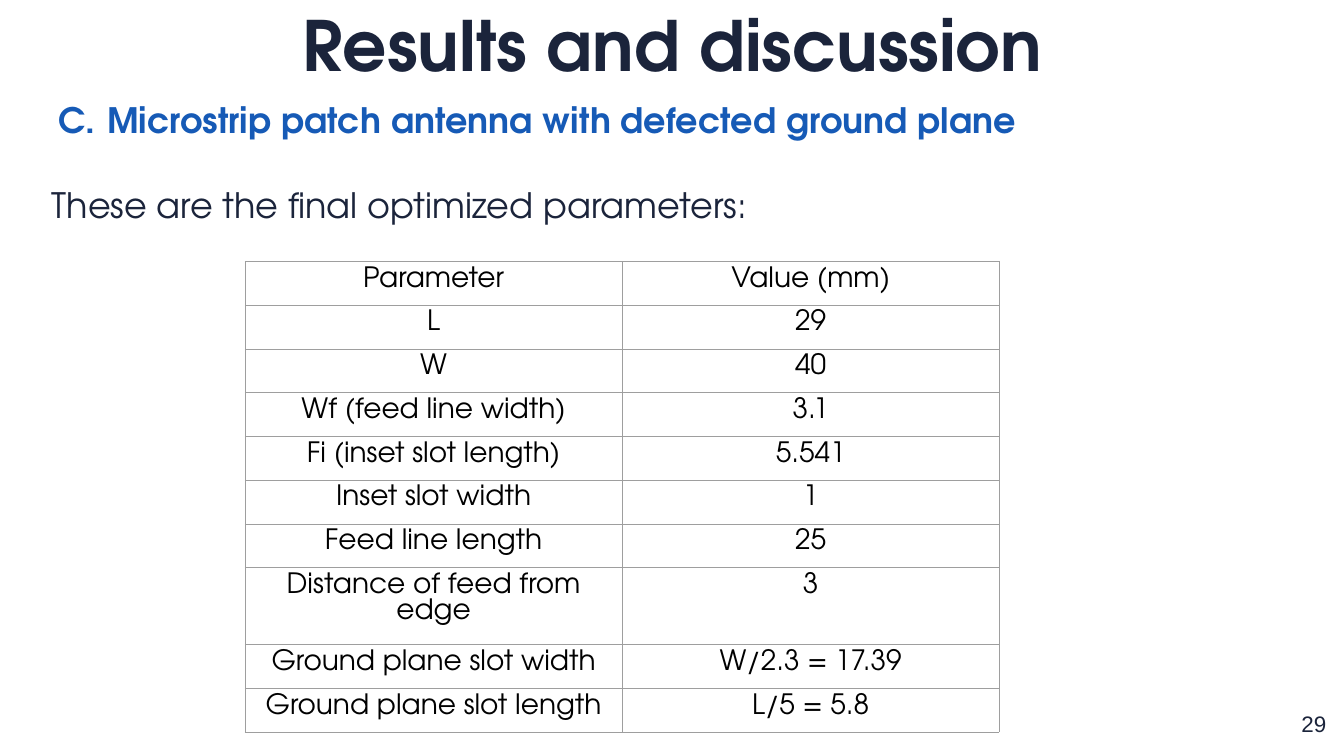
"""Build the slide with the optimized antenna parameters."""
from dataclasses import dataclass

from lxml.etree import SubElement
from pptx import Presentation
from pptx.dml.color import RGBColor
from pptx.enum.text import MSO_ANCHOR, PP_ALIGN
from pptx.oxml.ns import qn
from pptx.slide import Slide
from pptx.table import _Cell
from pptx.text.text import Font, TextFrame
from pptx.util import Inches, Length, Pt

WIDTH, HEIGHT = 26.66, 15
COLORS = {"ink": "1B243B", "heading": "165AB6", "table": "000000", "border": "9E9E9E"}
DISPLAY = "TeX Gyre Adventor"
PARAMETERS = [
    ("Parameter", "Value (mm)"),
    ("L", "29"),
    ("W", "40"),
    ("Wf (feed line width)", "3.1"),
    ("Fi (inset slot length)", "5.541"),
    ("Inset slot width", "1"),
    ("Feed line length", "25"),
    ("Distance of feed from edge", "3"),
    ("Ground plane slot width", "W/2.3 = 17.39"),
    ("Ground plane slot length", "L/5 = 5.8"),
]
COLUMN_SHARE, ROW_SHARE, TALL_ROW_SHARE = 28.06, 5.78, 10.2
TALL_ROW = 7


@dataclass(frozen=True)
class Area:
    """Position and size in percent of the slide."""
    left: float
    top: float
    width: float
    height: float


@dataclass(frozen=True)
class Style:
    """Look of one paragraph."""
    size: float
    color: str = "ink"
    bold: bool = False
    name: str = DISPLAY
    align: PP_ALIGN = PP_ALIGN.LEFT
    indent: float = 0
    before: float = 0


@dataclass(frozen=True)
class Line:
    """One paragraph as spans of text, each with an optional own size."""
    spans: tuple[tuple[str, float | None], ...]
    style: Style


@dataclass(frozen=True)
class Block:
    """A text box and its paragraphs."""
    area: Area
    lines: tuple[Line, ...]
    inset: tuple[float, float] = (0.1, 0.05)
    anchor: MSO_ANCHOR = MSO_ANCHOR.TOP


HEADING = Style(50, "heading", bold=True, indent=0.63)
INTRO = Style(50, indent=0.5, before=60)
TITLE = Style(99, bold=True, align=PP_ALIGN.CENTER)
NUMBER = Style(32, name="Arial", align=PP_ALIGN.RIGHT)
CELL = Style(40, "table", align=PP_ALIGN.CENTER)

BLOCKS = [
    Block(Area(1.61, 11.73, 97.97, 48.27), (
        Line((("C.", None), (" ", 60),
              ("Microstrip patch antenna with defected ground plane", None)), HEADING),
        Line((("These are the final optimized parameters:", None),), INTRO),
    )),
    Block(Area(9.11, -0.07, 81.81, 11.8), (Line((("Results and discussion", None),), TITLE),)),
    Block(Area(93.59, 92.33, 6, 7.67), (Line((("29", None),), NUMBER),), (0.24, 0.24)),
]


def across(share: float) -> Length:
    """Turn a percentage of the slide width into a length."""
    return Inches(WIDTH * share / 100)


def down(share: float) -> Length:
    """Turn a percentage of the slide height into a length."""
    return Inches(HEIGHT * share / 100)


def set_font(font: Font, style: Style) -> None:
    """Apply a style to a font."""
    font.name, font.size, font.bold = style.name, Pt(style.size), style.bold
    font.color.rgb = RGBColor.from_string(COLORS[style.color])


def write_lines(frame: TextFrame, lines: tuple[Line, ...]) -> None:
    """Fill a text frame with styled paragraphs."""
    for index, line in enumerate(lines):
        para = frame.add_paragraph() if index else frame.paragraphs[0]
        style = line.style
        para.alignment = style.align
        para.space_before = Pt(style.before)
        para._p.get_or_add_pPr().set("marL", str(Inches(style.indent)))
        set_font(para.font, style)
        for text, size in line.spans:
            span = para.add_run()
            span.text = text
            if size:
                span.font.size = Pt(size)


def add_block(slide: Slide, block: Block) -> None:
    """Draw a text box."""
    area = block.area
    box = slide.shapes.add_textbox(across(area.left), down(area.top),
                                   across(area.width), down(area.height))
    frame = box.text_frame
    frame.word_wrap, frame.vertical_anchor = True, block.anchor
    frame.margin_left = frame.margin_right = Inches(block.inset[0])
    frame.margin_top = frame.margin_bottom = Inches(block.inset[1])
    write_lines(frame, block.lines)


def format_cell(cell: _Cell) -> None:
    """Give a cell its margins, thin borders and empty fill."""
    cell.margin_left = cell.margin_right = cell.margin_top = cell.margin_bottom = Inches(0.1)
    properties = cell._tc.get_or_add_tcPr()
    for side in ("a:lnL", "a:lnR", "a:lnT", "a:lnB"):
        border = SubElement(properties, qn(side), w=str(Pt(0.75)))
        fill = SubElement(border, qn("a:solidFill"))
        SubElement(fill, qn("a:srgbClr"), val=COLORS["border"])
    cell.fill.background()


def add_parameters(slide: Slide, left: float, top: float) -> None:
    """Draw the parameter table."""
    heights = [TALL_ROW_SHARE if row == TALL_ROW else ROW_SHARE for row in range(len(PARAMETERS))]
    columns = len(PARAMETERS[0])
    table = slide.shapes.add_table(len(PARAMETERS), columns, across(left), down(top),
                                   across(columns * COLUMN_SHARE), down(sum(heights))).table
    table.first_row = table.horz_banding = False
    for row, (height, values) in enumerate(zip(heights, PARAMETERS)):
        table.rows[row].height = down(height)
        for column, value in enumerate(values):
            cell = table.cell(row, column)
            format_cell(cell)
            write_lines(cell.text_frame, (Line(((value, None),), CELL),))


def main() -> None:
    """Build and save the deck."""
    deck = Presentation()
    deck.slide_width, deck.slide_height = Inches(WIDTH), Inches(HEIGHT)
    page = deck.slides.add_slide(deck.slide_layouts[6])
    for block in BLOCKS:
        add_block(page, block)
    add_parameters(page, 18.23, 34.6)
    deck.save("out.pptx")


if __name__ == "__main__":
    main()
